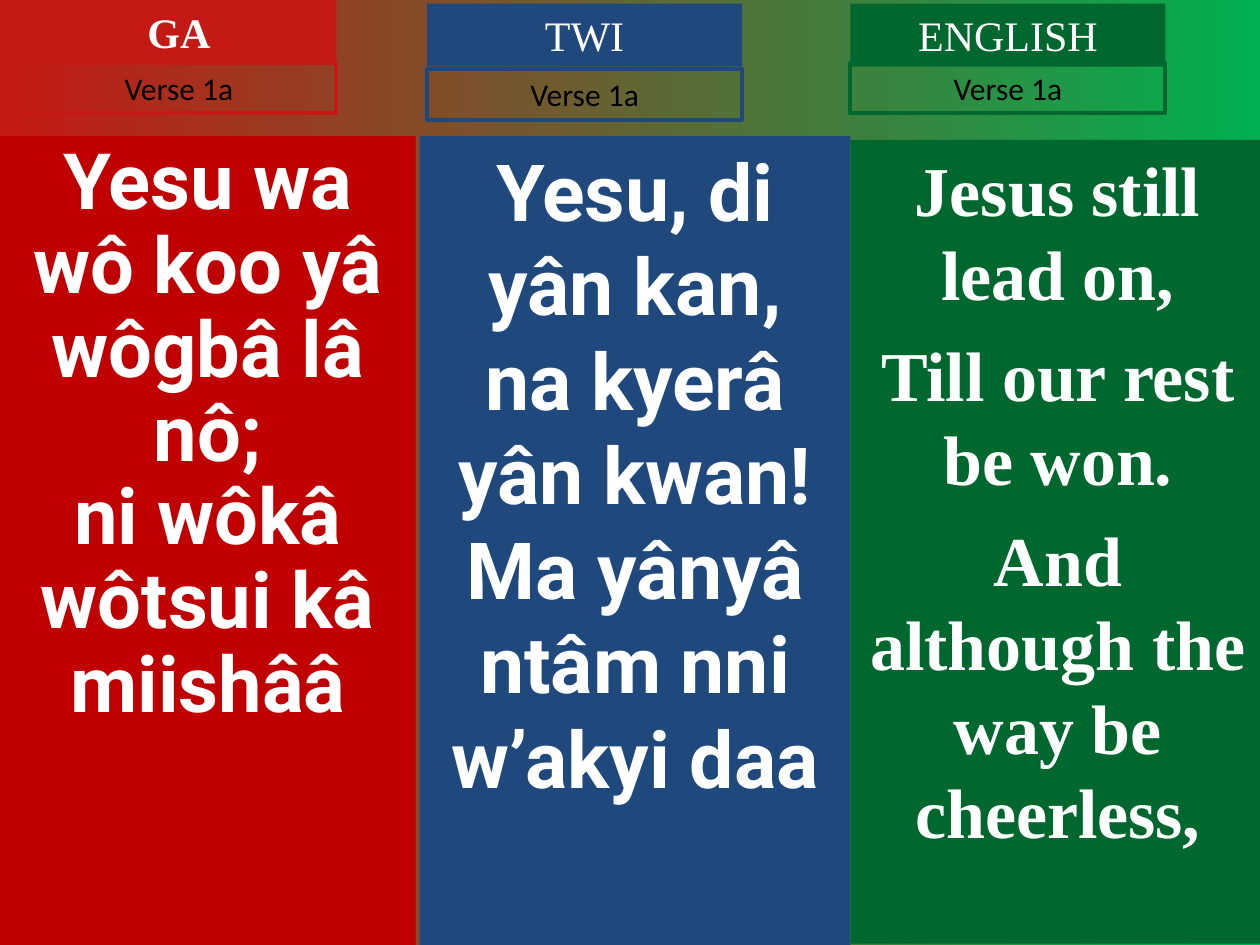
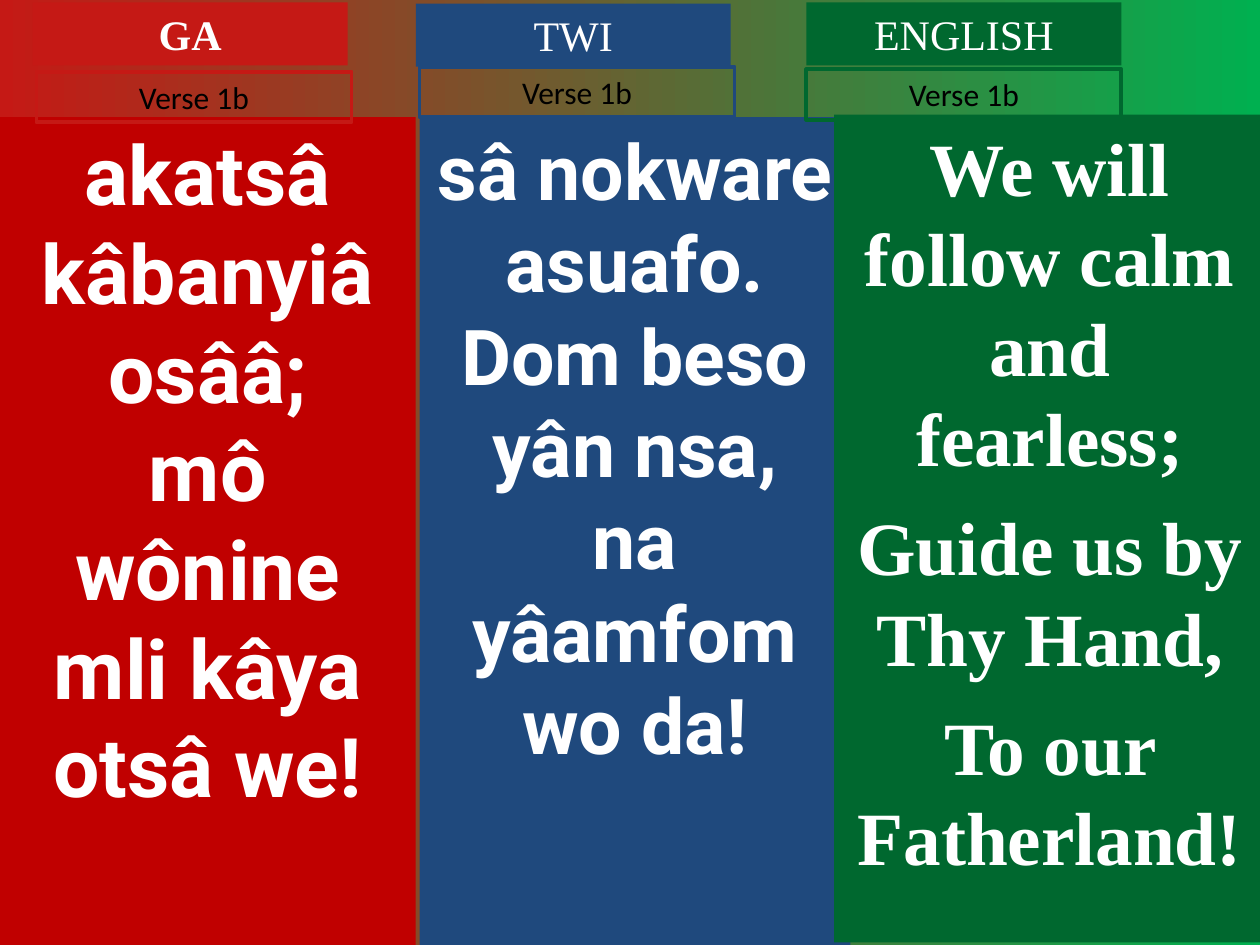
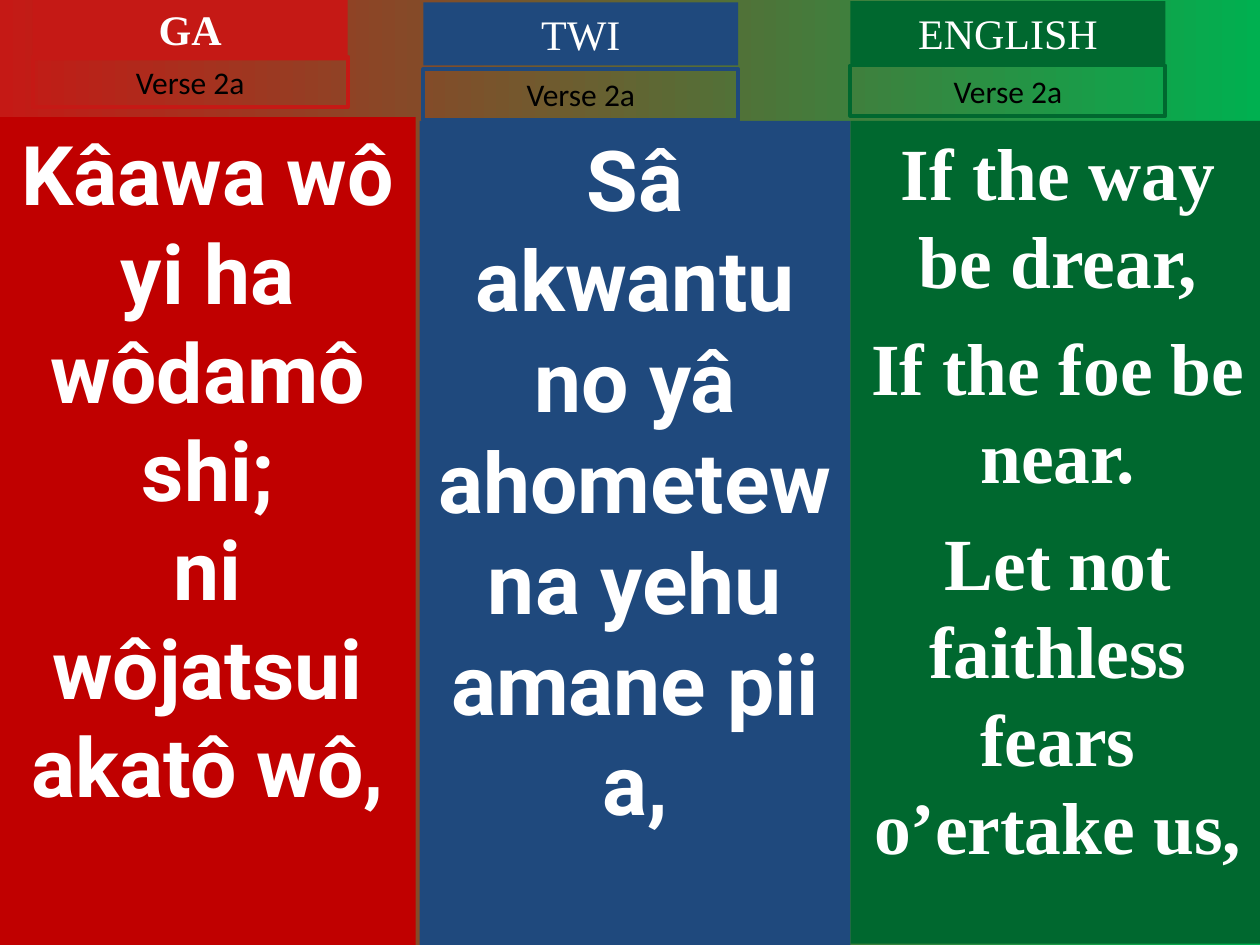
from pptx import Presentation
from pptx import util as u
from pptx.dml.color import RGBColor
from pptx.enum import shapes, text

HEX = {"red": "C51915", "deep": "C00000", "blue": "1F497D", "green": "00682F",
       "lime": "00B050", "white": "FFFFFF", "black": "000000"}

# Columns: heading, heading bold, heading colour, panel colour, panel font
COLS = [
    ("GA", True, "red", "deep", "Roboto"),
    ("TWI", False, "blue", "blue", "Roboto"),
    ("ENGLISH", False, "green", "green", "Times New Roman"),
]

# Per column: panel box, heading left and top, tag left and top,
# text size, space before, line spacing, lines
VERSES = [
    ("Verse 1a", [
        ((0, 1.08, 3.3, 6.42), (0.17, 0), (0.17, 0.5), 44.4, 0, 0.9,
         ["Yesu wa wô koo yâ wôgbâ lâ nô;", "ni wôkâ wôtsui kâ miishââ"]),
        ((3.33, 1.08, 3.42, 6.42), (3.39, 0.03), (3.39, 0.55), 45, 0, 1.0,
         ["Yesu, di yân kan,", "na kyerâ yân kwan!",
          "Ma yânyâ ntâm nni w’akyi daa"]),
        ((6.75, 1.11, 3.29, 6.38), (6.75, 0.03), (6.75, 0.5), 40, 10, 1.0,
         ["Jesus still lead on,", "Till our rest be won.",
          "And although the way be cheerless,"]),
    ]),
    ("Verse 1b", [
        ((0, 0.93, 3.3, 6.57), (0.26, 0.02), (0.29, 0.57), 47, 0, 1.0,
         ["akatsâ kâbanyiâ osââ;", "mô wônine mli kâya otsâ we!"]),
        ((3.33, 0.93, 3.42, 6.57), (3.3, 0.03), (3.33, 0.53), 44, 0, 1.0,
         ["sâ nokware asuafo.", "Dom beso yân nsa,", "na yâamfom wo da!"]),
        ((6.62, 0.91, 3.42, 6.57), (6.4, 0.02), (6.4, 0.55), 43, 10.7, 1.0,
         ["We will follow calm and fearless;", "Guide us by Thy Hand,",
          "To our Fatherland!"]),
    ]),
    ("Verse 2a", [
        ((0, 0.93, 3.3, 6.57), (0.26, -0.02), (0.26, 0.45), 47, 0, 1.0,
         ["Kâawa wô yi ha wôdamô shi;", "ni wôjatsui akatô wô,"]),
        ((3.33, 0.96, 3.42, 6.54), (3.36, 0.02), (3.36, 0.55), 48, 0, 1.0,
         ["Sâ akwantu no yâ ahometew", "na yehu amane pii a,"]),
        ((6.75, 0.96, 3.29, 6.53), (6.75, 0.01), (6.75, 0.52), 42, 10.5, 1.0,
         ["If the way be drear,", "If the foe be near.",
          "Let not faithless fears o’ertake us,"]),
    ]),
]
HEAD = (2.5, 0.5)
TAG = (2.5, 0.4)


def rgb(name):
    return RGBColor.from_string(HEX[name])


def add_box(slide, box, lines, font, size, ink, bold=False, fill=None,
            line=None, before=0, pitch=1.0, grow=True):
    shape = slide.shapes.add_shape(shapes.MSO_SHAPE.RECTANGLE,
                                   *[u.Inches(n) for n in box])
    shape.shadow.inherit = False
    if fill:
        shape.fill.solid()
        shape.fill.fore_color.rgb = rgb(fill)
    else:
        shape.fill.background()
    if line:
        shape.line.color.rgb = rgb(line)
        shape.line.width = u.Pt(2.25)
    else:
        shape.line.fill.background()
    frame = shape.text_frame
    frame.text = "\n".join(lines)
    frame.word_wrap = True
    frame.vertical_anchor = text.MSO_ANCHOR.TOP
    if grow:
        frame.auto_size = text.MSO_AUTO_SIZE.SHAPE_TO_FIT_TEXT
    for i, para in enumerate(frame.paragraphs):
        para.alignment = text.PP_ALIGN.CENTER
        para.line_spacing = pitch
        para.space_before = u.Pt(before if i else 0)
        for run in para.runs:
            run.font.name = font
            run.font.size = u.Pt(size)
            run.font.bold = bold
            run.font.color.rgb = rgb(ink)


def paint(slide):
    # Red to green, left to right
    fill = slide.background.fill
    fill.gradient()
    fill.gradient_angle = 0
    for stop, name, place in zip(fill.gradient_stops, ("red", "lime"), (0, 1)):
        stop.color.rgb = rgb(name)
        stop.position = place


def main():
    deck = Presentation()
    deck.slide_width, deck.slide_height = u.Inches(10), u.Inches(7.5)
    for verse, parts in VERSES:
        slide = deck.slides.add_slide(deck.slide_layouts[6])
        paint(slide)
        for col, part in zip(COLS, parts):
            title, bold, tone, panel, font = col
            box, head, tag, size, before, pitch, lines = part
            # Lyrics panel, language heading, verse tag
            add_box(slide, box, lines, font, size, "white", True, fill=panel,
                    before=before, pitch=pitch, grow=False)
            add_box(slide, head + HEAD, [title], "Times New Roman", 24,
                    "white", bold, fill=tone)
            add_box(slide, tag + TAG, [verse], "Calibri", 18, "black",
                    line=tone)
    deck.save("out.pptx")


if __name__ == "__main__":
    main()
